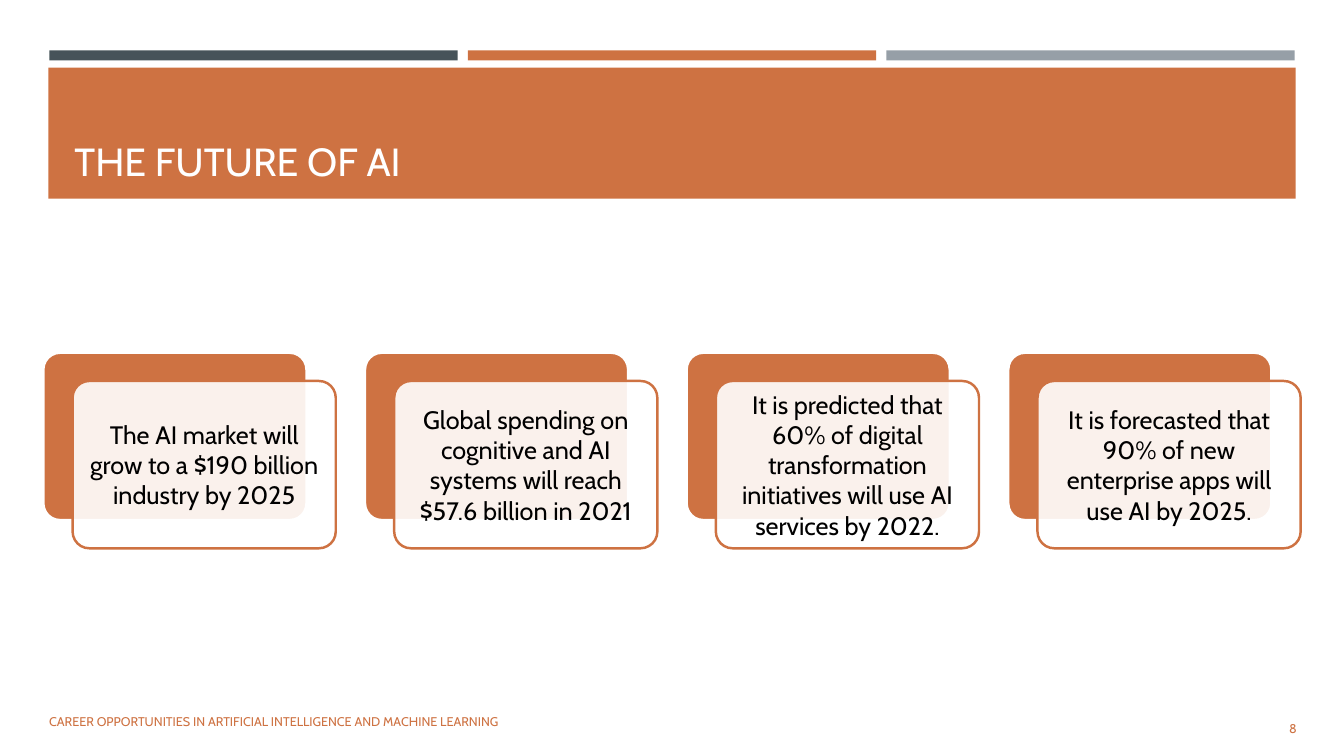
import pptx
import pptx.util
import pptx.dml.color
import pptx.enum.shapes
import pptx.enum.text
import pptx.oxml.ns
import lxml.etree

Inches, Pt = pptx.util.Inches, pptx.util.Pt
SHAPE = pptx.enum.shapes.MSO_SHAPE
ALIGN = pptx.enum.text.PP_ALIGN
ANCHOR = pptx.enum.text.MSO_ANCHOR

COLORS = {
    "slate": "465359",
    "orange": "CE7242",
    "gray": "969FA7",
    "white": "FFFFFF",
    "black": "000000",
}

FORECASTS = [
    "The AI market will grow to a $190 billion industry by 2025",
    "Global spending on cognitive and AI systems will reach $57.6 billion in 2021",
    "It is predicted that 60% of digital transformation initiatives will use AI services by 2022.",
    "It is forecasted that 90% of new enterprise apps will use AI by 2025.",
]


class Deck:
    font = "Cabin"

    def __init__(self, prs):
        self.s = prs.slides.add_slide(prs.slide_layouts[6])

    def color(self, name):
        return pptx.dml.color.RGBColor.from_string(COLORS[name])

    def box(self, x, y, w, h, fill, kind=SHAPE.RECTANGLE, line=None, opacity=100):
        """Draw a filled shape; opacity is a percentage."""
        sp = self.s.shapes.add_shape(kind, Inches(x), Inches(y), Inches(w), Inches(h))
        sp.shadow.inherit = False
        sp.fill.solid()
        sp.fill.fore_color.rgb = self.color(fill)
        if opacity < 100:
            clr = sp.fill._xPr.find(".//" + pptx.oxml.ns.qn("a:srgbClr"))
            alpha = lxml.etree.SubElement(clr, pptx.oxml.ns.qn("a:alpha"))
            alpha.set("val", str(opacity * 1000))
        if line:
            sp.line.color.rgb = self.color(line)
            sp.line.width = Pt(1.75)
        else:
            sp.line.fill.background()
        return sp

    def text(self, x, y, w, h, words, size, color, align=ALIGN.LEFT,
             anchor=ANCHOR.MIDDLE, inset=None):
        sp = self.s.shapes.add_textbox(Inches(x), Inches(y), Inches(w), Inches(h))
        tf = sp.text_frame
        tf.word_wrap = True
        tf.vertical_anchor = anchor
        if inset is not None:
            tf.margin_left = tf.margin_right = Inches(inset)
            tf.margin_top = tf.margin_bottom = Inches(inset)
        p = tf.paragraphs[0]
        p.alignment = align
        r = p.add_run()
        r.text = words
        r.font.name = self.font
        r.font.size = Pt(size)
        r.font.color.rgb = self.color(color)

    def card(self, x, y, words):
        """Draw an orange panel with an offset translucent panel holding the words."""
        w, h = 2.61, 1.66
        front_x, front_y, pad = x + 0.29, y + 0.28, 0.05
        back = self.box(x, y, w, h, "orange", SHAPE.ROUNDED_RECTANGLE, "white")
        front = self.box(front_x, front_y, w, h, "white",
                         SHAPE.ROUNDED_RECTANGLE, "orange", 90)
        for sp in (back, front):
            sp.adjustments[0] = 0.1
        self.text(front_x + pad, front_y + pad, w - 2 * pad, h - 2 * pad,
                  words, 18, "black", ALIGN.CENTER, inset=0.07)


def main():
    prs = pptx.Presentation()
    prs.slide_width, prs.slide_height = Inches(13.33), Inches(7.5)
    deck = Deck(prs)

    for i, fill in enumerate(("slate", "orange", "gray")):
        deck.box(0.49 + 4.15 * i, 0.5, 4.05, 0.1, fill)
    deck.box(0.48, 0.67, 12.37, 1.3, "orange")
    deck.text(0.64, 0.77, 12.06, 1.11, "THE FUTURE OF AI", 28, "white",
              anchor=ANCHOR.BOTTOM)

    for i, words in enumerate(FORECASTS):
        deck.card(0.43 + 3.19 * i, 3.5, words)

    deck.text(0.39, 7.03, 7.46, 0.4,
              "CAREER OPPORTUNITIES IN ARTIFICIAL INTELLIGENCE AND MACHINE LEARNING",
              9, "orange", anchor=ANCHOR.TOP)
    deck.text(11.81, 7.03, 1.15, 0.4, "8", 9, "orange", ALIGN.RIGHT)
    prs.save("out.pptx")


if __name__ == "__main__":
    main()
